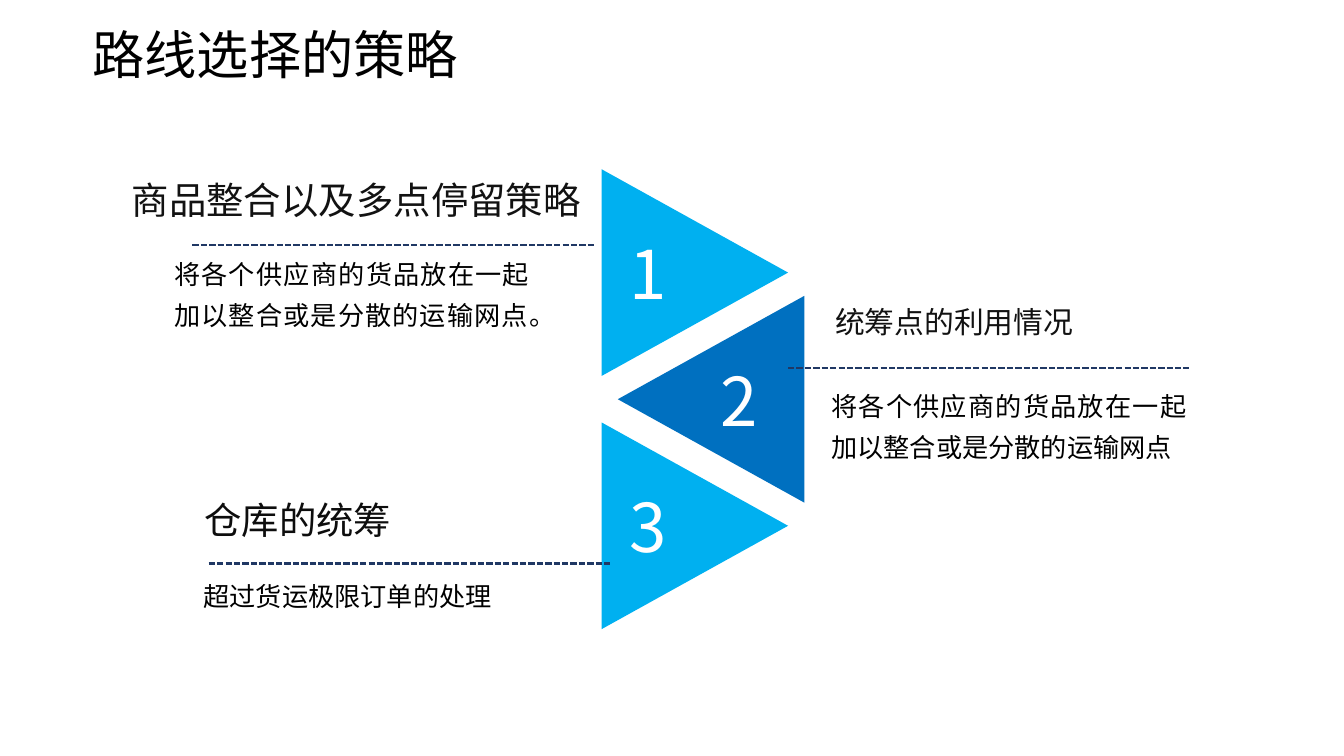
from lxml.etree import SubElement
from pptx import Presentation
from pptx.dml.color import RGBColor
from pptx.enum.dml import MSO_LINE
from pptx.enum.shapes import MSO_CONNECTOR, MSO_SHAPE
from pptx.enum.text import MSO_ANCHOR, MSO_AUTO_SIZE, PP_ALIGN
from pptx.oxml.ns import qn
from pptx.util import Cm, Pt

FONT = "Noto Sans CJK SC"
TRIANGLE_WIDTH, TRIANGLE_HEIGHT = 5.21, 4.7
RULE_LENGTH = 10.11
BODY_WIDTH = 9.45

# Number, centre x, turn, text direction, fill
TRIANGLES = [
    (2, 17.92, 270, "eaVert", "0070C0"),
    (1, 17.51, 90, "vert270", "00B0F0"),
    (3, 17.51, 90, "vert270", "00B0F0"),
]

# Heading, its size, colour and box, rule start, body and its box
STRATEGIES = [
    ("商品整合以及多点停留策略", 26.7, "121212", (3.07, 4.34, 11.89, 1.4),
     (4.85, 6.17),
     "将各个供应商的货品放在一起加以整合或是分散的运输网点。",
     (4.14, 6.15, BODY_WIDTH, 2.26)),
    ("仓库的统筹", 26.7, "0D0D0D", (4.9, 12.4, 5.26, 1.4),
     (5.26, 14.2),
     "超过货运极限订单的处理",
     (4.88, 14.25, BODY_WIDTH, 1.19)),
    ("统筹点的利用情况", 21.3, "121212", (20.8, 7.52, 6.6, 1.17),
     (19.86, 9.27),
     "将各个供应商的货品放在一起加以整合或是分散的运输网点",
     (20.7, 9.47, BODY_WIDTH, 2.26)),
]


def color(value):
    return RGBColor.from_string(value)


def write(text_frame, text, size, text_color):
    """Fill a text frame with one formatted paragraph and return it."""
    text_frame.text = text
    paragraph = text_frame.paragraphs[0]
    font = paragraph.runs[0].font
    font.size = Pt(size)
    font.name = FONT
    font.color.rgb = color(text_color)
    SubElement(paragraph.runs[0]._r.get_or_add_rPr(), qn("a:ea"), typeface=FONT)
    return paragraph


def add_text(shapes, box, text, size, text_color, wrap=True):
    text_box = shapes.add_textbox(*map(Cm, box))
    text_frame = text_box.text_frame
    text_frame.word_wrap = wrap
    text_frame.auto_size = MSO_AUTO_SIZE.SHAPE_TO_FIT_TEXT
    return text_frame, write(text_frame, text, size, text_color)


def add_title(slide, box, text):
    text_frame, _ = add_text(slide.shapes, box, text, 37.3, "000000")
    text_frame.margin_left = text_frame.margin_right = Cm(0.33)
    text_frame.margin_top = text_frame.margin_bottom = Cm(0.18)


def add_triangle(slide, center_x, center_y, number, rotation, direction, fill):
    triangle = slide.shapes.add_shape(
        MSO_SHAPE.FLOWCHART_EXTRACT,
        Cm(center_x - TRIANGLE_WIDTH / 2), Cm(center_y - TRIANGLE_HEIGHT / 2),
        Cm(TRIANGLE_WIDTH), Cm(TRIANGLE_HEIGHT))
    triangle.rotation = rotation
    triangle.shadow.inherit = False
    triangle.fill.solid()
    triangle.fill.fore_color.rgb = color(fill)
    triangle.line.fill.background()
    text_frame = triangle.text_frame
    text_frame.vertical_anchor = MSO_ANCHOR.MIDDLE
    # Text direction that keeps the number upright
    text_frame._txBody.bodyPr.set("vert", direction)
    write(text_frame, str(number), 48, "FFFFFF").alignment = PP_ALIGN.CENTER


def add_triangles(slide, first_center_y, step):
    for number, center_x, rotation, direction, fill in TRIANGLES:
        center_y = first_center_y + (number - 1) * step
        add_triangle(slide, center_x, center_y, number, rotation, direction, fill)


def add_rule(shapes, left, top):
    rule = shapes.add_connector(
        MSO_CONNECTOR.STRAIGHT, Cm(left), Cm(top), Cm(left + RULE_LENGTH), Cm(top))
    rule.line.color.rgb = color("203864")
    rule.line.width = Pt(1.5)
    rule.line.dash_style = MSO_LINE.SQUARE_DOT
    SubElement(rule._element.spPr, qn("a:effectLst"))


def add_strategy(slide, heading, size, heading_color, heading_box,
                 rule_start, body, body_box):
    # Body text
    _, paragraph = add_text(slide.shapes, body_box, body, 18.7, "000000")
    paragraph.alignment = PP_ALIGN.JUSTIFY
    paragraph.line_spacing = 1.3
    # Heading with its dashed rule
    group = slide.shapes.add_group_shape()
    add_text(group.shapes, heading_box, heading, size, heading_color, wrap=False)
    add_rule(group.shapes, *rule_start)


def main():
    presentation = Presentation()
    presentation.slide_width = Cm(33.87)
    presentation.slide_height = Cm(19.05)
    slide = presentation.slides.add_slide(presentation.slide_layouts[6])
    add_title(slide, (2, 0.38, 20.8, 1.93), "路线选择的策略")
    add_triangles(slide, first_center_y=6.87, step=3.19)
    for strategy in STRATEGIES:
        add_strategy(slide, *strategy)
    presentation.save("out.pptx")


if __name__ == "__main__":
    main()
